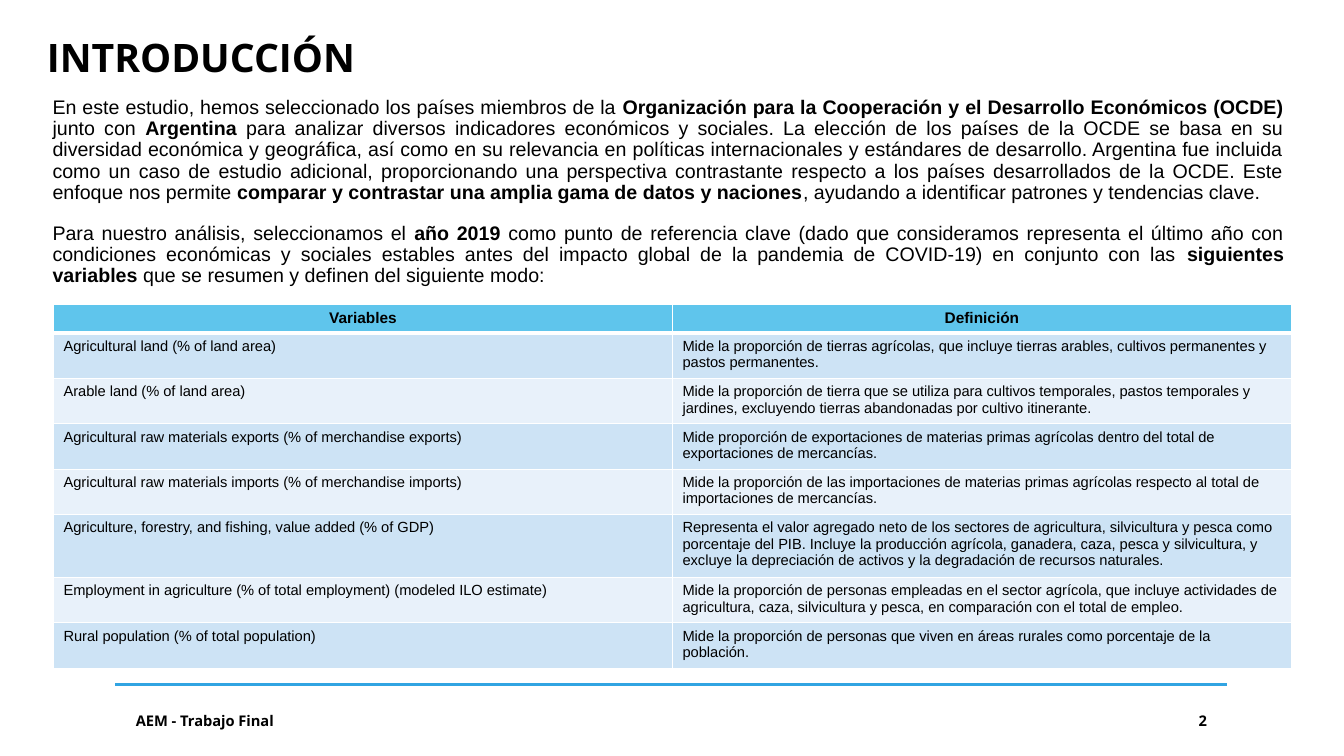
from dataclasses import dataclass

from lxml import etree
from pptx import Presentation
from pptx.dml.color import RGBColor
from pptx.enum.shapes import MSO_CONNECTOR
from pptx.enum.text import MSO_ANCHOR, MSO_AUTO_SIZE, PP_ALIGN
from pptx.oxml.ns import qn
from pptx.util import Emu, Pt

LEFT, CENTER, RIGHT, JUSTIFY = PP_ALIGN.LEFT, PP_ALIGN.CENTER, PP_ALIGN.RIGHT, PP_ALIGN.JUSTIFY
TOP, MIDDLE = MSO_ANCHOR.TOP, MSO_ANCHOR.MIDDLE
STRAIGHT = MSO_CONNECTOR.STRAIGHT
NO_AUTOFIT = MSO_AUTO_SIZE.NONE


@dataclass(frozen=True)
class Theme:
    heading_font: str = "Open Sans"
    body_font: str = "Arial"
    ink: str = "000000"
    white: str = "FFFFFF"
    rule: str = "31A4E2"
    header: str = "1CADE4"
    header_opacity: int = 70
    bands: tuple[str, str] = ("CDE3F5", "E8F1FA")
    title_size: float = 28
    intro_size: float = 14
    header_size: float = 11
    small_size: float = 10.5


@dataclass(frozen=True)
class Box:
    left: int
    top: int
    width: int
    height: int


@dataclass(frozen=True)
class Phrase:
    text: str
    bold: bool = False


@dataclass(frozen=True)
class FooterItem:
    text: str
    box: Box
    align: PP_ALIGN


@dataclass(frozen=True)
class Variable:
    name: str
    definition: str
    height: int = 43


THEME = Theme()

TITLE_BOX = Box(35, 27, 1164, 55)
INTRO_BOX = Box(35, 88, 1193, 199)
TABLE_BOX = Box(51, 290, 1179, 345)
HEADER_HEIGHT = 27

INTRO = [
    [
        Phrase("En este estudio, hemos seleccionado los países miembros de la "),
        Phrase("Organización para la Cooperación y el Desarrollo Económicos (OCDE)", True),
        Phrase(" junto con "),
        Phrase("Argentina", True),
        Phrase(" para analizar diversos indicadores económicos y sociales. La elección de los países "
               "de la OCDE se basa en su diversidad económica y geográfica, así como en su relevancia en "
               "políticas internacionales y estándares de desarrollo. Argentina fue incluida como un caso "
               "de estudio adicional, proporcionando una perspectiva contrastante respecto a los países "
               "desarrollados de la OCDE. Este enfoque nos permite "),
        Phrase("comparar y contrastar una amplia gama de datos y naciones", True),
        Phrase(", ayudando a identificar patrones y tendencias clave."),
    ],
    [
        Phrase("Para nuestro análisis, seleccionamos el "),
        Phrase("año 2019 ", True),
        Phrase("como punto de referencia clave (dado que consideramos representa el último año con "
               "condiciones económicas y sociales estables antes del impacto global de la pandemia de "
               "COVID-19) en conjunto con las "),
        Phrase("siguientes variables ", True),
        Phrase("que se resumen y definen del siguiente modo:"),
    ],
]

HEADINGS = ("Variables", "Definición")
VARIABLES = [
    Variable("Agricultural land (% of land area)",
             "Mide la proporción de tierras agrícolas, que incluye tierras arables, cultivos "
             "permanentes y pastos permanentes."),
    Variable("Arable land (% of land area)",
             "Mide la proporción de tierra que se utiliza para cultivos temporales, pastos temporales "
             "y jardines, excluyendo tierras abandonadas por cultivo itinerante."),
    Variable("Agricultural raw materials exports (% of merchandise exports)",
             "Mide proporción de exportaciones de materias primas agrícolas dentro del total de "
             "exportaciones de mercancías."),
    Variable("Agricultural raw materials imports (% of merchandise imports)",
             "Mide la proporción de las importaciones de materias primas agrícolas respecto al total "
             "de importaciones de mercancías."),
    Variable("Agriculture, forestry, and fishing, value added (% of GDP)",
             "Representa el valor agregado neto de los sectores de agricultura, silvicultura y pesca "
             "como porcentaje del PIB. Incluye la producción agrícola, ganadera, caza, pesca y "
             "silvicultura, y excluye la depreciación de activos y la degradación de recursos "
             "naturales.", 60),
    Variable("Employment in agriculture (% of total employment) (modeled ILO estimate)",
             "Mide la proporción de personas empleadas en el sector agrícola, que incluye actividades "
             "de agricultura, caza, silvicultura y pesca, en comparación con el total de empleo."),
    Variable("Rural population (% of total population)",
             "Mide la proporción de personas que viven en áreas rurales como porcentaje de la "
             "población."),
]

FOOTER = [
    FooterItem("AEM - Trabajo Final", Box(120, 667, 416, 38), LEFT),
    FooterItem("2", Box(1094, 667, 65, 38), RIGHT),
]


def px(length: int) -> Emu:
    return Emu(length * 9525)


def bounds(box: Box) -> tuple[Emu, Emu, Emu, Emu]:
    return px(box.left), px(box.top), px(box.width), px(box.height)


def style_font(font, family: str, size: float, bold: bool) -> None:
    font.name, font.size, font.bold = family, Pt(size), bold
    font.color.rgb = RGBColor.from_string(THEME.ink)


def write_line(frame, text: str, family: str, size: float, bold: bool, align: PP_ALIGN) -> None:
    frame.text = text
    paragraph = frame.paragraphs[0]
    paragraph.alignment = align
    style_font(paragraph.runs[0].font, family, size, bold)


def add_title(slide) -> None:
    title = slide.shapes.title
    title.left, title.top, title.width, title.height = bounds(TITLE_BOX)
    frame = title.text_frame
    frame.auto_size, frame.vertical_anchor = NO_AUTOFIT, TOP
    write_line(frame, "INTRODUCCIÓN", THEME.heading_font, THEME.title_size, True, LEFT)


def add_intro(slide) -> None:
    frame = slide.shapes.add_textbox(*bounds(INTRO_BOX)).text_frame
    frame.word_wrap = True
    frame.margin_left = px(15)
    frame.margin_top = frame.margin_right = frame.margin_bottom = px(5)
    for index, phrases in enumerate(INTRO):
        paragraph = frame.add_paragraph() if index else frame.paragraphs[0]
        paragraph.alignment, paragraph.line_spacing = JUSTIFY, 0.9
        paragraph.space_before, paragraph.space_after = Pt(12), Pt(2)
        for phrase in phrases:
            run = paragraph.add_run()
            run.text = phrase.text
            style_font(run.font, THEME.body_font, THEME.intro_size, phrase.bold)


def set_borders(cell, top: int, bottom: int) -> None:
    properties = cell._tc.get_or_add_tcPr()
    sides = {"a:lnL": 1, "a:lnR": 1, "a:lnT": top, "a:lnB": bottom}
    for index, (side, points) in enumerate(sides.items()):
        border = etree.Element(qn(side), w=str(Pt(points)))
        fill = etree.SubElement(border, qn("a:solidFill"))
        etree.SubElement(fill, qn("a:srgbClr"), val=THEME.white)
        properties.insert(index, border)


def add_variables_table(slide) -> None:
    rows = [Variable(*HEADINGS, HEADER_HEIGHT), *VARIABLES]
    table = slide.shapes.add_table(len(rows), len(HEADINGS), *bounds(TABLE_BOX)).table
    table.horz_banding = False
    for row_index, variable in enumerate(rows):
        is_header = row_index == 0
        table.rows[row_index].height = px(variable.height)
        for column, text in enumerate((variable.name, variable.definition)):
            cell = table.cell(row_index, column)
            write_line(cell.text_frame, text, THEME.body_font,
                       THEME.header_size if is_header else THEME.small_size,
                       is_header, CENTER if is_header else LEFT)
            color = THEME.header if is_header else THEME.bands[(row_index - 1) % 2]
            cell.fill.solid()
            cell.fill.fore_color.rgb = RGBColor.from_string(color)
            if is_header:
                tint = cell._tc.tcPr.find(".//" + qn("a:srgbClr"))
                etree.SubElement(tint, qn("a:alpha"), val=str(THEME.header_opacity * 1000))
            set_borders(cell, 3 if row_index == 1 else 1, 3 if is_header else 1)


def add_footer(slide) -> None:
    rule = slide.shapes.add_connector(STRAIGHT, px(110), px(652), px(1169), px(652))
    rule.line.color.rgb = RGBColor.from_string(THEME.rule)
    rule.line.width = Pt(2)
    etree.SubElement(rule._element.spPr, qn("a:effectLst"))
    for item in FOOTER:
        frame = slide.shapes.add_textbox(*bounds(item.box)).text_frame
        frame.word_wrap, frame.vertical_anchor = True, MIDDLE
        write_line(frame, item.text, THEME.heading_font, THEME.small_size, True, item.align)


def main() -> None:
    deck = Presentation()
    deck.slide_width, deck.slide_height = px(1280), px(720)
    slide = deck.slides.add_slide(deck.slide_layouts[5])
    add_footer(slide)
    add_title(slide)
    add_intro(slide)
    add_variables_table(slide)
    deck.save("out.pptx")


if __name__ == "__main__":
    main()
